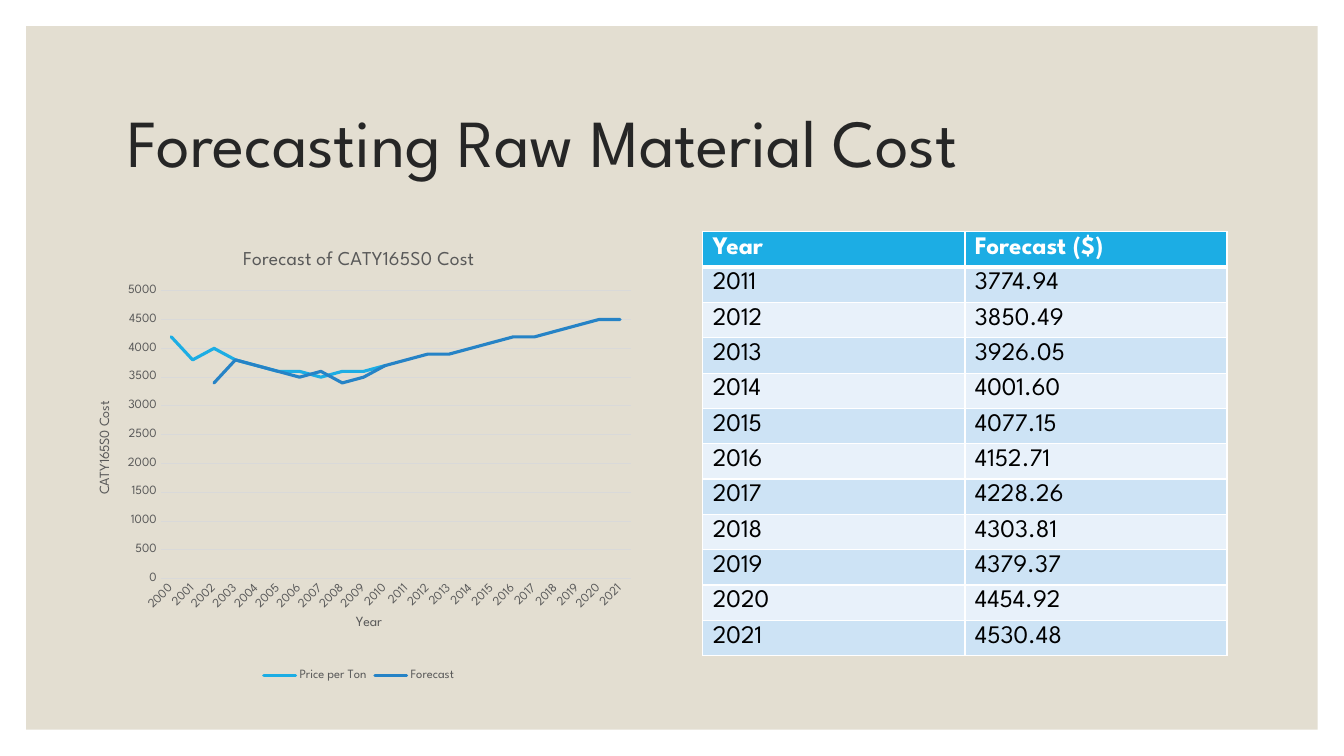
from lxml import etree
from pptx import Presentation
from pptx.chart.data import CategoryChartData
from pptx.dml.color import RGBColor
from pptx.enum.chart import XL_CHART_TYPE as ChartType, XL_LEGEND_POSITION as LegendPosition, XL_TICK_MARK as TickMark
from pptx.enum.shapes import MSO_SHAPE
from pptx.enum.text import MSO_ANCHOR
from pptx.oxml import parse_xml
from pptx.oxml.ns import nsdecls, qn
from pptx.util import Inches, Pt

FONT = "League Spartan"
COLORS = {
    "white": "FFFFFF", "sand": "E3DED1", "title": "262626", "black": "000000",
    "label": "595959", "grid": "D9D9D9", "price": "1CADE4", "forecast": "2683C6",
    "odd_row": "CDE3F5", "even_row": "E8F1FA",
}


def set_font(font, size, color, bold=False):
    font.name = FONT
    font.size = Pt(size)
    font.bold = bold
    font.color.rgb = RGBColor.from_string(COLORS[color])


def add_run(frame, text, size, color, bold=False):
    run = frame.paragraphs[0].add_run()
    run.text = text
    set_font(run.font, size, color, bold)


prs = Presentation()
prs.slide_width, prs.slide_height = Inches(13.33), Inches(7.5)
slide = prs.slides.add_slide(prs.slide_layouts[6])

panel = slide.shapes.add_shape(MSO_SHAPE.RECTANGLE, Inches(0.26), Inches(0.26), Inches(12.81), Inches(6.98))
panel.shadow.inherit = False
panel.fill.solid()
panel.fill.fore_color.rgb = RGBColor.from_string(COLORS["sand"])
panel.line.fill.background()

heading = slide.shapes.add_textbox(Inches(1.17), Inches(0.7), Inches(11), Inches(1.5)).text_frame
heading.word_wrap = True
heading.vertical_anchor = MSO_ANCHOR.MIDDLE
heading.paragraphs[0].line_spacing = 0.9
add_run(heading, "Forecasting Raw Material Cost", 48, "title")

forecasts = ["3774.94", "3850.49", "3926.05", "4001.60", "4077.15", "4152.71",
             "4228.26", "4303.81", "4379.37", "4454.92", "4530.48"]
rows = [("Year", "Forecast ($)")] + [(str(year), cost) for year, cost in enumerate(forecasts, 2011)]
forecast_table = slide.shapes.add_table(len(rows), 2, Inches(6.97), Inches(2.3), Inches(5.2), Inches(4.2)).table
for column in forecast_table.columns:
    column.width = Inches(2.6)
for r, row in enumerate(rows):
    forecast_table.rows[r].height = Inches(0.35)
    header = r == 0
    fill = "price" if header else "odd_row" if r % 2 else "even_row"
    for c, text in enumerate(row):
        cell = forecast_table.cell(r, c)
        cell.margin_bottom = 0
        cell.fill.solid()
        cell.fill.fore_color.rgb = RGBColor.from_string(COLORS[fill])
        add_run(cell.text_frame, text, 18, "white" if header else "black", header)
        for i, side in enumerate("LRTB"):
            thick = (r, side) in ((0, "B"), (1, "T"))
            border = parse_xml(
                f'<a:ln{side} {nsdecls("a")} w="{Pt(3 if thick else 1)}"><a:solidFill>'
                f'<a:srgbClr val="{COLORS["white"]}"/></a:solidFill></a:ln{side}>')
            cell._tc.get_or_add_tcPr().insert(i, border)

prices = [4200, 3800, 4000, 3800, 3700, 3600, 3600, 3500, 3600, 3600, 3700]
fitted = [3400, 3800, 3700, 3600, 3500, 3600, 3400, 3500, 3700]
projected = [3800, 3900, 3900, 4000, 4100, 4200, 4200, 4300, 4400, 4500, 4500]
cost_data = CategoryChartData()
cost_data.categories = [str(year) for year in range(2000, 2022)]
cost_data.add_series("Price per Ton", prices + [None] * len(projected))
cost_data.add_series("Forecast", [None] * 2 + fitted + projected)
chart = slide.shapes.add_chart(
    ChartType.LINE, Inches(0.75), Inches(2.3), Inches(5.62), Inches(4.5), cost_data).chart
set_font(chart.font, 10, "black")
chart.has_title = True
add_run(chart.chart_title.text_frame, "Forecast of CATY165S0 Cost", 14, "label")
chart.chart_title.include_in_layout = False

chart.has_legend = True
chart.legend.position = LegendPosition.BOTTOM
chart.legend.include_in_layout = False
set_font(chart.legend.font, 9, "label")

years, costs = chart.category_axis, chart.value_axis
for axis, name in ((years, "Year"), (costs, "CATY165S0 Cost")):
    add_run(axis.axis_title.text_frame, name, 10, "label")
    axis.major_tick_mark = axis.minor_tick_mark = TickMark.NONE
    set_font(axis.tick_labels.font, 9, "label")
years.tick_labels.font._element.getparent().getparent().getparent().find(qn("a:bodyPr")).set("rot", "-2700000")
cost_title_body = costs.axis_title.text_frame._txBody.find(qn("a:bodyPr"))
cost_title_body.set("rot", "-5400000")
cost_title_body.set("vert", "horz")
costs.minimum_scale, costs.maximum_scale, costs.major_unit = 0, 5000, 500
costs.format.line.fill.background()
for line in (years.format.line, costs.major_gridlines.format.line):
    line.color.rgb = RGBColor.from_string(COLORS["grid"])
    line.width = Pt(0.75)

for series, color in zip(chart.plots[0].series, ("price", "forecast")):
    series.smooth = False
    series.format.line.color.rgb = RGBColor.from_string(COLORS[color])
    series.format.line.width = Pt(2.25)
    series.format.line._ln.set("cap", "rnd")
chart.plots[0].vary_by_categories = False

edges = (("xMode", "edge"), ("yMode", "edge"))
plot_place = (("layoutTarget", "inner"), *edges, ("x", "0.15"), ("y", "0.13"), ("w", "0.83"), ("h", "0.635"))
year_place = (*edges, ("x", "0.49"), ("y", "0.84"))
for parent, index, place in ((chart._chartSpace.chart.plotArea, 0, plot_place),
                             (years.axis_title._element, 1, year_place)):
    for old_layout in parent.findall(qn("c:layout")):
        parent.remove(old_layout)
    layout = etree.Element(qn("c:layout"))
    manual = etree.SubElement(layout, qn("c:manualLayout"))
    for tag, value in place:
        etree.SubElement(manual, qn(f"c:{tag}")).set("val", value)
    parent.insert(index, layout)

prs.save("out.pptx")
